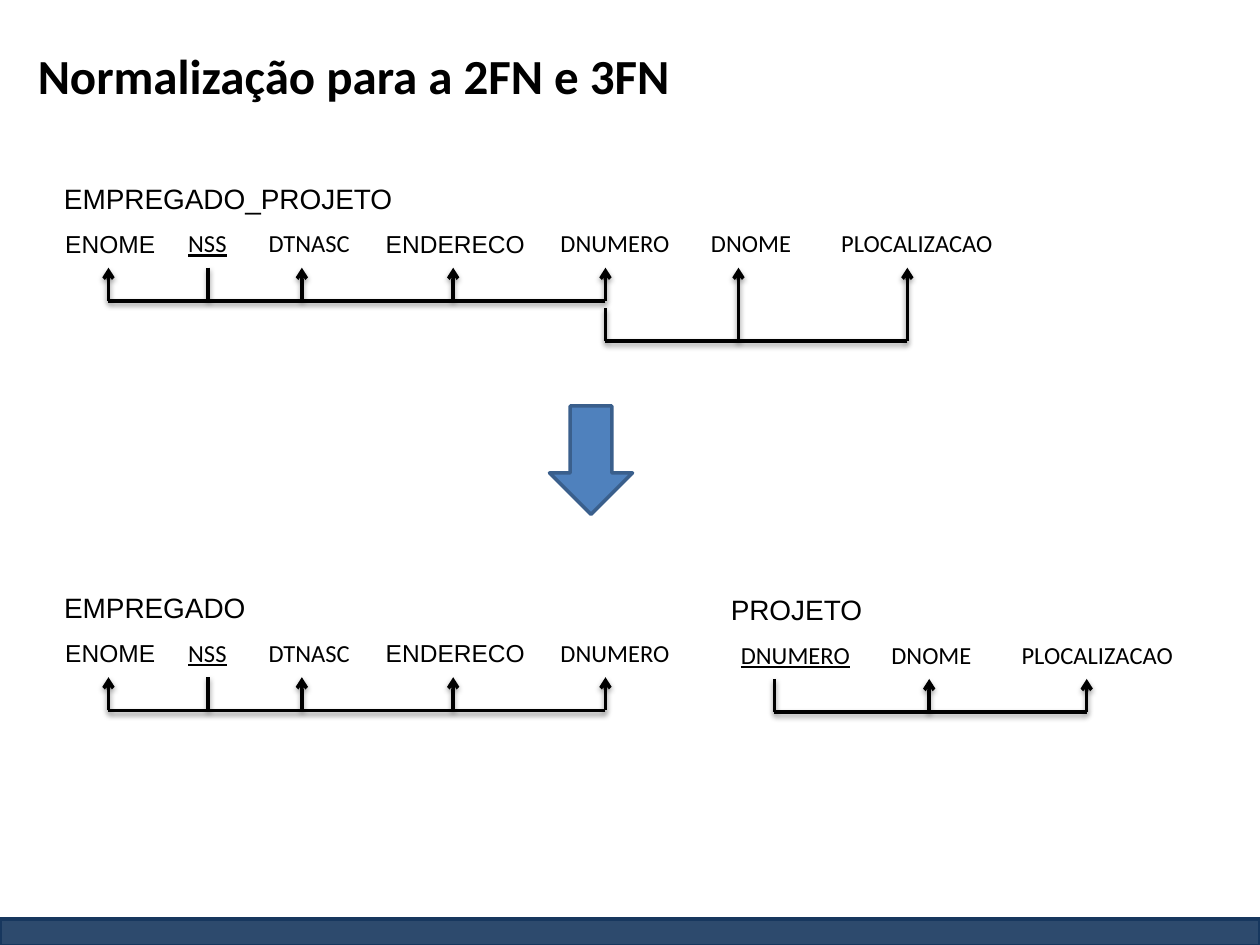
import pptx
import pptx.dml.color
import pptx.enum.shapes
import pptx.enum.text
import pptx.oxml
import pptx.oxml.ns
import pptx.util

Pt = pptx.util.Pt
MSO_SHAPE = pptx.enum.shapes.MSO_SHAPE
ALIGN = pptx.enum.text.PP_ALIGN
ANCHOR = pptx.enum.text.MSO_ANCHOR

THEME = {
    "ink": "000000", "paper": "FFFFFF", "footer": "17375E",
    "arrow": "4F81BD", "arrow_line": "3A5F8C",
    "heading": "Calibri", "label": "Arial",
    "title_size": 28, "name_size": 16, "cell_size": 14, "stroke": 2,
}

TITLE = "Normalização para a 2FN e 3FN"

# attribute: (column width, font)
ATTRIBUTES = {
    "ENOME": (67, "Arial"), "NSS": (44, "Calibri"),
    "DTNASC": (72.5, "Calibri"), "ENDERECO": (94.5, "Arial"),
    "DNUMERO": (88, "Calibri"), "DNOME": (67.5, "Calibri"),
    "PLOCALIZACAO": (122, "Calibri"),
}
EMPLOYEE = ["ENOME", "NSS", "DTNASC", "ENDERECO", "DNUMERO"]
PROJECT = ["DNUMERO", "DNOME", "PLOCALIZACAO"]

# dependency: determinant x, its top, bar y (both below the name), dependent xs
NSS_DEPENDENCY = (119, 53, 72, [62, 172.5, 259, 346])
RELATIONS = [
    {"name": "EMPREGADO_PROJETO", "left": 29.5, "top": 100, "width": 213,
     "attributes": EMPLOYEE + PROJECT[1:], "key": "NSS",
     "dependencies": [NSS_DEPENDENCY, (346, 76, 95, [422, 518.5])]},
    {"name": "EMPREGADO", "left": 29.5, "top": 334, "width": 120,
     "attributes": EMPLOYEE, "key": "NSS", "dependencies": [NSS_DEPENDENCY]},
    {"name": "PROJETO", "left": 410.5, "top": 335, "width": 213,
     "attributes": PROJECT, "key": "DNUMERO",
     "dependencies": [(442.5, 53, 72, [531, 621])]},
]
ROW_HEIGHT = 26.5
TIP_OFFSET = 53


def rgb(key):
    return pptx.dml.color.RGBColor.from_string(THEME[key])


def xml(tag, body="", attrs=""):
    ns = pptx.oxml.ns.nsdecls("a")
    return pptx.oxml.parse_xml(f"<a:{tag} {ns} {attrs}>{body}</a:{tag}>")


def style(p, font, size, bold=False, underline=False):
    f = p.runs[0].font
    f.name, f.size, f.bold, f.underline = font, Pt(size), bold, underline
    f.color.rgb = rgb("ink")


def add_text(s, text, box, font, size, bold=False):
    tf = s.shapes.add_textbox(*map(Pt, box)).text_frame
    tf.word_wrap = True
    tf.text = text
    style(tf.paragraphs[0], font, size, bold)
    return tf


def add_shape(s, kind, box, fill, line):
    sp = s.shapes.add_shape(kind, *map(Pt, box))
    sp.shadow.inherit = False
    sp.fill.solid()
    sp.fill.fore_color.rgb = rgb(fill)
    sp.line.color.rgb = rgb(line)
    sp.line.width = Pt(THEME["stroke"])
    return sp


def add_line(s, x1, y1, x2, y2, arrow=False):
    c = s.shapes.add_connector(pptx.enum.shapes.MSO_CONNECTOR.STRAIGHT,
                               *map(Pt, (x1, y1, x2, y2)))
    c.line.color.rgb = rgb("ink")
    c.line.width = Pt(THEME["stroke"])
    if arrow:
        c.line._get_or_add_ln().append(xml("tailEnd", attrs='type="arrow"'))
    c._element.spPr.append(xml(
        "effectLst",
        f'<a:outerShdw blurRad="{Pt(3.1)}" dist="{Pt(1.6)}" dir="5400000" rotWithShape="0">'
        f'<a:srgbClr val="{THEME["ink"]}"><a:alpha val="38000"/></a:srgbClr></a:outerShdw>'))


def add_attributes(s, names, key, left, top):
    widths = [ATTRIBUTES[n][0] for n in names]
    table = s.shapes.add_table(1, len(names), Pt(left), Pt(top),
                               Pt(sum(widths)), Pt(ROW_HEIGHT)).table
    table.first_row = table.horz_banding = False
    for i, name in enumerate(names):
        table.columns[i].width = Pt(widths[i])
        cell = table.cell(0, i)
        cell.text = name
        cell.vertical_anchor = ANCHOR.MIDDLE
        cell.margin_left = cell.margin_right = Pt(5.75)
        cell.margin_top = cell.margin_bottom = 0
        cell.fill.solid()
        cell.fill.fore_color.rgb = rgb("paper")
        for at, side in enumerate(("lnL", "lnR", "lnT", "lnB")):
            cell._tc.get_or_add_tcPr().insert(at, xml(
                side, f'<a:solidFill><a:srgbClr val="{THEME["paper"]}"/></a:solidFill>',
                f'w="{Pt(1)}"'))
        p = cell.text_frame.paragraphs[0]
        p.alignment = ALIGN.CENTER
        style(p, ATTRIBUTES[name][1], THEME["cell_size"], underline=name == key)


def add_dependency(s, top, source, start, bar, targets):
    """Draw a bar from the determinant with an arrow up to each dependent."""
    xs = [source] + targets
    add_line(s, max(xs), top + bar, min(xs), top + bar)
    add_line(s, source, top + start, source, top + bar)
    for x in targets:
        add_line(s, x, top + bar, x, top + TIP_OFFSET, arrow=True)


def add_relation(s, rel):
    left, top = rel["left"], rel["top"]
    add_attributes(s, rel["attributes"], rel["key"], left, top + ROW_HEIGHT)
    tf = add_text(s, rel["name"], (left, top, rel["width"], ROW_HEIGHT),
                  THEME["label"], THEME["name_size"])
    tf.auto_size = pptx.enum.text.MSO_AUTO_SIZE.SHAPE_TO_FIT_TEXT
    for dependency in rel["dependencies"]:
        add_dependency(s, top, *dependency)


def main():
    prs = pptx.Presentation()
    prs.slide_width, prs.slide_height = Pt(720), Pt(540)
    s = prs.slides.add_slide(prs.slide_layouts[6])
    footer = add_shape(s, MSO_SHAPE.RECTANGLE, (0, 525, 720, 15.5), "footer", "footer")
    color = footer._element.spPr.find(pptx.oxml.ns.qn("a:solidFill"))[0]
    color.append(xml("alpha", attrs='val="90000"'))
    title = add_text(s, TITLE, (14.5, 21, 692, 44), THEME["heading"],
                     THEME["title_size"], bold=True)
    title.vertical_anchor = ANCHOR.MIDDLE
    for rel in RELATIONS:
        add_relation(s, rel)
    add_shape(s, MSO_SHAPE.DOWN_ARROW, (314, 232, 47.5, 62), "arrow", "arrow_line")
    prs.save("out.pptx")


if __name__ == "__main__":
    main()
